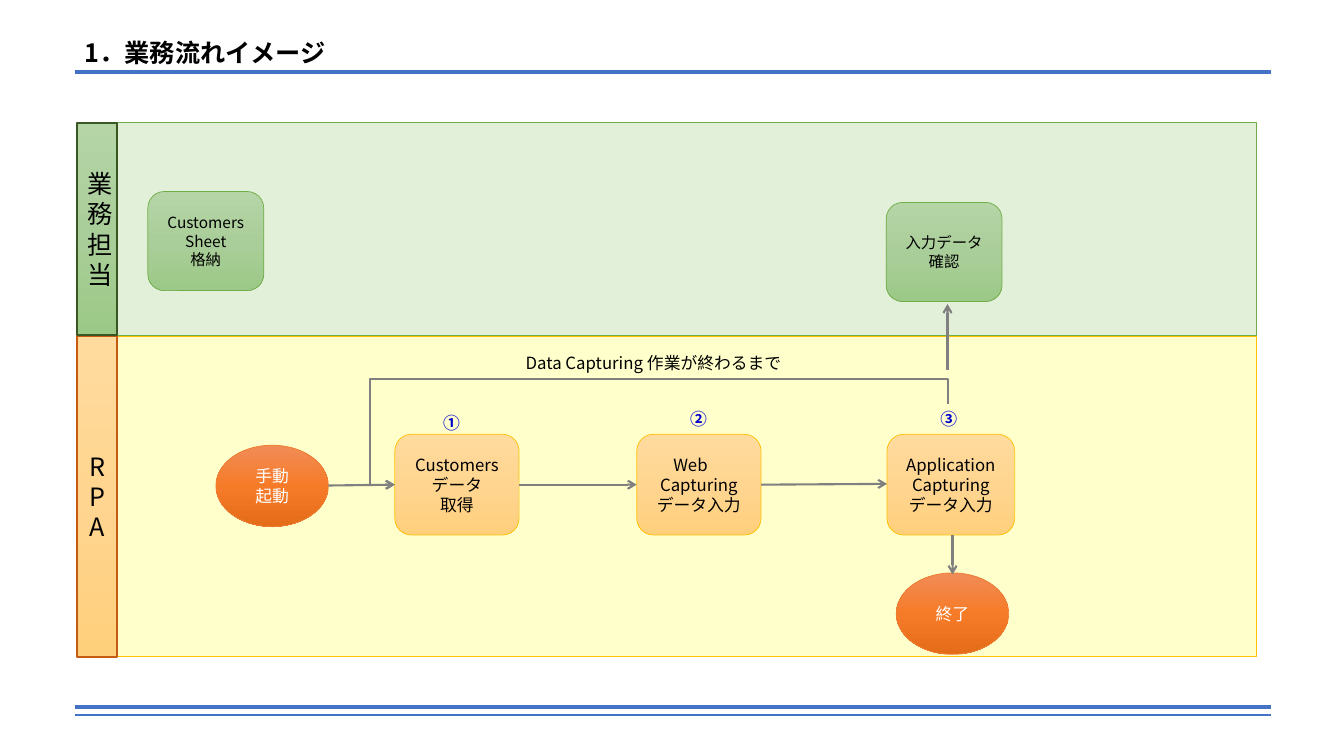
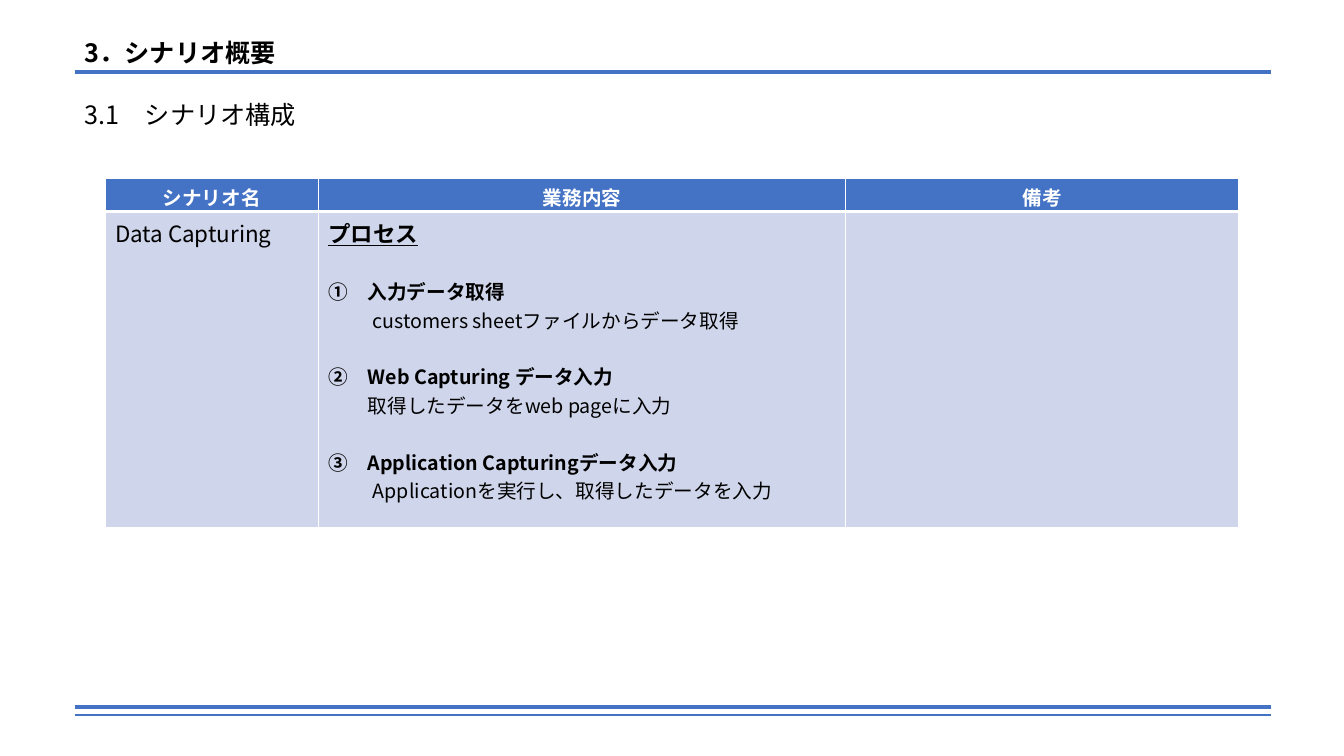
from dataclasses import dataclass
from itertools import product

from lxml.etree import SubElement
from pptx import Presentation
from pptx.dml.color import RGBColor
from pptx.enum.shapes import MSO_CONNECTOR, MSO_SHAPE
from pptx.enum.text import MSO_ANCHOR, PP_ALIGN
from pptx.oxml import parse_xml
from pptx.oxml.ns import nsdecls, qn
from pptx.util import Inches, Pt


@dataclass(frozen=True)
class Theme:
    font: str = "Noto Sans CJK JP"
    # Colours
    black: str = "000000"
    white: str = "FFFFFF"
    blue: str = "4472C4"
    badge: str = "0000CC"
    arrow: str = "808080"
    table_body: str = "CFD5EA"
    green_lane: str = "E2F0D9"
    green_line: str = "70AD47"
    green_edge: str = "385723"
    yellow_lane: str = "FFFFCC"
    gold_line: str = "FFC000"
    orange_line: str = "ED7D31"
    orange_edge: str = "C55A11"
    green: tuple = ("B5D5A7", "AACE9A", "9CC987")
    gold: tuple = ("FFDB9E", "FFD590", "FFD07C")
    orange: tuple = ("F18C57", "F67B28", "E56C19")
    # Type sizes in points
    title: int = 18
    table_lead: int = 16
    table_text: int = 14
    label: int = 12
    small: int = 11


THEME = Theme()
COLUMNS, ROWS = 16, 9
LEFT, RIGHT = 0.89, 15.13


class Deck:
    """Holds the theme and the current slide; lengths are grid columns and rows."""

    def __init__(self, theme):
        self.theme = theme
        self.presentation = Presentation()
        self.presentation.slide_width = Inches(13.333)
        self.presentation.slide_height = Inches(7.5)
        self.slide = None

    def x(self, columns):
        return round(self.presentation.slide_width * columns / COLUMNS)

    def y(self, rows):
        return round(self.presentation.slide_height * rows / ROWS)

    def box(self, left, top, width, height):
        return self.x(left), self.y(top), self.x(width), self.y(height)

    def new_slide(self, title):
        self.slide = self.presentation.slides.add_slide(self.presentation.slide_layouts[6])
        for row, weight in ((8.42, 3), (8.51, 1.5), (0.86, 3)):
            self.line((LEFT, row), (RIGHT, row), self.theme.blue, weight)
        self.text(title, LEFT, 0.38, 6, bold=True)

    # Text
    def format_paragraph(self, paragraph, size, color, bold=False, underline=False, align=PP_ALIGN.LEFT):
        paragraph.alignment = align
        for run in paragraph.runs:
            font = run.font
            font.size, font.bold, font.underline = Pt(size), bold, underline
            font.color.rgb = RGBColor.from_string(color)
            font.name = self.theme.font
            SubElement(font._element, qn("a:ea"), typeface=self.theme.font)

    def fill_text(self, text_frame, text, size, color, **style):
        text_frame.word_wrap = True
        text_frame.text = text
        for paragraph in text_frame.paragraphs:
            self.format_paragraph(paragraph, size, color, **style)

    def text(self, text, left, top, width, size=None, color=None, height=0.48, inset=0.1, **style):
        shape = self.slide.shapes.add_textbox(*self.box(left, top, width, height))
        shape.text_frame.margin_left = shape.text_frame.margin_right = Inches(inset)
        self.fill_text(shape.text_frame, text, size or self.theme.title,
                       color or self.theme.black, **style)

    def badge(self, text, left, top):
        self.text(text, left, top, 0.41, self.theme.label, self.theme.badge, height=0.36,
                  inset=0, bold=True, align=PP_ALIGN.CENTER)

    # Shapes
    def shape(self, kind, place, fill, line, weight=0.5, text="", size=None, color=None):
        shape = self.slide.shapes.add_shape(kind, *self.box(*place))
        shape.shadow.inherit = False
        if isinstance(fill, tuple):
            self.gradient(shape, fill)
        else:
            shape.fill.solid()
            shape.fill.fore_color.rgb = RGBColor.from_string(fill)
        shape.line.color.rgb = RGBColor.from_string(line)
        shape.line.width = Pt(weight)
        if text:
            shape.text_frame.vertical_anchor = MSO_ANCHOR.MIDDLE
            self.fill_text(shape.text_frame, text, size or self.theme.label,
                           color or self.theme.black, align=PP_ALIGN.CENTER)

    def gradient(self, shape, colors):
        stops = "".join(
            f'<a:gs pos="{index * 50000}"><a:srgbClr val="{color}"/></a:gs>'
            for index, color in enumerate(colors))
        gradient = parse_xml(
            f'<a:gradFill {nsdecls("a")} rotWithShape="1"><a:gsLst>{stops}</a:gsLst>'
            '<a:lin ang="5400000" scaled="0"/></a:gradFill>')
        shape.fill.background()
        properties = shape._element.spPr
        properties.replace(properties.find(qn("a:noFill")), gradient)

    def lane(self, name, top, height, fill, line, label_fill, label_line):
        self.shape(MSO_SHAPE.RECTANGLE, (0.92, top, 14.04, height), fill, line)
        self.shape(MSO_SHAPE.RECTANGLE, (0.92, top, 0.47, height), label_fill, label_line, 1.5,
                   name, self.theme.title)

    def task(self, text, left, top, width, height, fill, line, size=None):
        self.shape(MSO_SHAPE.ROUNDED_RECTANGLE, (left, top, width, height), fill, line,
                   text=text, size=size)

    def terminal(self, text, left, top):
        self.shape(MSO_SHAPE.OVAL, (left, top, 1.34, 0.97), self.theme.orange,
                   self.theme.orange_line, text=text, color=self.theme.white)

    # Lines and arrows
    def line(self, start, end, color, weight):
        connector = self.slide.shapes.add_connector(
            MSO_CONNECTOR.STRAIGHT, self.x(start[0]), self.y(start[1]), self.x(end[0]), self.y(end[1]))
        connector.line.color.rgb = RGBColor.from_string(color)
        connector.line.width = Pt(weight)
        SubElement(connector._element.spPr, qn("a:effectLst"))
        return connector

    def add_head(self, shape):
        SubElement(shape.line._get_or_add_ln(), qn("a:tailEnd"), type="arrow")

    def arrow(self, start, end):
        self.add_head(self.line(start, end, self.theme.arrow, 1.5))

    def bent_arrow(self, *points):
        corners = [(self.x(column), self.y(row)) for column, row in points]
        builder = self.slide.shapes.build_freeform(*corners[0])
        builder.add_line_segments(corners[1:], close=False)
        shape = builder.convert_to_shape()
        shape.shadow.inherit = False
        shape.fill.background()
        shape.line.color.rgb = RGBColor.from_string(self.theme.arrow)
        shape.line.width = Pt(1.5)
        self.add_head(shape)

    # Table
    def table(self, left, top, widths, heights):
        place = self.box(left, top, sum(widths), sum(heights))
        table = self.slide.shapes.add_table(len(heights), len(widths), *place).table
        table.horz_banding = False
        for column, width in zip(table.columns, widths):
            column.width = self.x(width)
        for row, height in zip(table.rows, heights):
            row.height = self.y(height)
        for row, column in product(range(len(heights)), range(len(widths))):
            cell = table.cell(row, column)
            cell.fill.solid()
            cell.fill.fore_color.rgb = RGBColor.from_string(
                self.theme.table_body if row else self.theme.blue)
            self.borders(cell, top=1 if row == 0 else 3, bottom=3 if row == 0 else 1)
        return table

    def borders(self, cell, top, bottom):
        properties = cell._tc.get_or_add_tcPr()
        for index, (side, weight) in enumerate((("L", 1), ("R", 1), ("T", top), ("B", bottom))):
            properties.insert(index, parse_xml(
                f'<a:ln{side} {nsdecls("a")} w="{Pt(weight)}"><a:solidFill>'
                f'<a:srgbClr val="{self.theme.white}"/></a:solidFill></a:ln{side}>'))


def build_flow(deck):
    theme = deck.theme
    deck.new_slide("1．業務流れイメージ")

    # Swimlanes
    deck.lane("RPA", 4, 3.82, theme.yellow_lane, theme.gold_line, theme.gold, theme.orange_edge)
    deck.lane("業務担当", 1.46, 2.53, theme.green_lane, theme.green_line, theme.green, theme.green_edge)

    # Staff tasks
    for text, left, top in (("Customers Sheet\n格納", 1.76, 2.28), ("入力データ\n確認", 10.55, 2.41)):
        deck.task(text, left, top, 1.38, 1.18, theme.green, theme.green_line, theme.small)

    # Robot tasks with their numbers
    deck.terminal("手動\n起動", 2.57, 5.3)
    deck.terminal("終了", 10.67, 6.82)
    for text, left, width, number, number_left, number_top in (
            ("Customers\nデータ\n取得", 4.7, 1.48, "①", 5.17, 4.85),
            ("Web　Capturing\nデータ入力", 7.58, 1.48, "②", 8.11, 4.81),
            ("Application Capturing\nデータ入力", 10.56, 1.52, "③", 11.09, 4.81)):
        deck.task(text, left, 5.17, width, 1.2, theme.gold, theme.gold_line)
        deck.badge(number, number_left, number_top)

    # Flow and loop
    for start, end in (((3.91, 5.78), (4.7, 5.77)), ((6.18, 5.77), (7.58, 5.77)),
                       ((9.06, 5.77), (10.56, 5.76)), ((11.34, 6.37), (11.34, 6.84)),
                       ((11.28, 4.4), (11.28, 3.62))):
        deck.arrow(start, end)
    deck.bent_arrow((11.29, 4.81), (11.29, 4.51), (4.4, 4.51), (4.4, 5.77), (4.7, 5.77))
    deck.text("Data Capturing 作業が終わるまで", 6.14, 4.14, 3.6, theme.label, height=0.36)


def build_scenario(deck):
    theme = deck.theme
    deck.new_slide("3．シナリオ概要")
    deck.text("3.1　シナリオ構成", LEFT, 1.12, 10.45)

    # Table header
    table = deck.table(1.25, 2.12, (2.54, 6.28, 4.68), (0.4, 3.76))
    for column, heading in enumerate(("シナリオ名", "業務内容", "備考")):
        cell = table.cell(0, column)
        cell.margin_bottom = 0
        deck.fill_text(cell.text_frame, heading, theme.table_text, theme.white,
                       bold=True, align=PP_ALIGN.CENTER)

    # Scenario name and process steps
    deck.fill_text(table.cell(1, 0).text_frame, "Data Capturing", theme.table_lead, theme.black)
    process = table.cell(1, 1).text_frame
    deck.fill_text(process, "プロセス", theme.table_lead, theme.black, bold=True, underline=True)
    for step, detail, indent in (
            ("①　入力データ取得", "customers sheetファイルからデータ取得", 0.44),
            ("②　Web Capturing データ入力", "取得したデータをweb pageに入力", 0.39),
            ("③　Application Capturingデータ入力", "Applicationを実行し、取得したデータを入力", 0.44)):
        for text, is_step in ((step, True), (detail, False)):
            paragraph = process.add_paragraph()
            paragraph.text = text
            deck.format_paragraph(paragraph, theme.table_text, theme.black, bold=is_step)
            if is_step:
                paragraph.space_before = Pt(20)
            else:
                paragraph._p.get_or_add_pPr().set("marL", str(Inches(indent)))


def main():
    deck = Deck(THEME)
    build_flow(deck)
    build_scenario(deck)
    deck.presentation.save("out.pptx")


if __name__ == "__main__":
    main()
